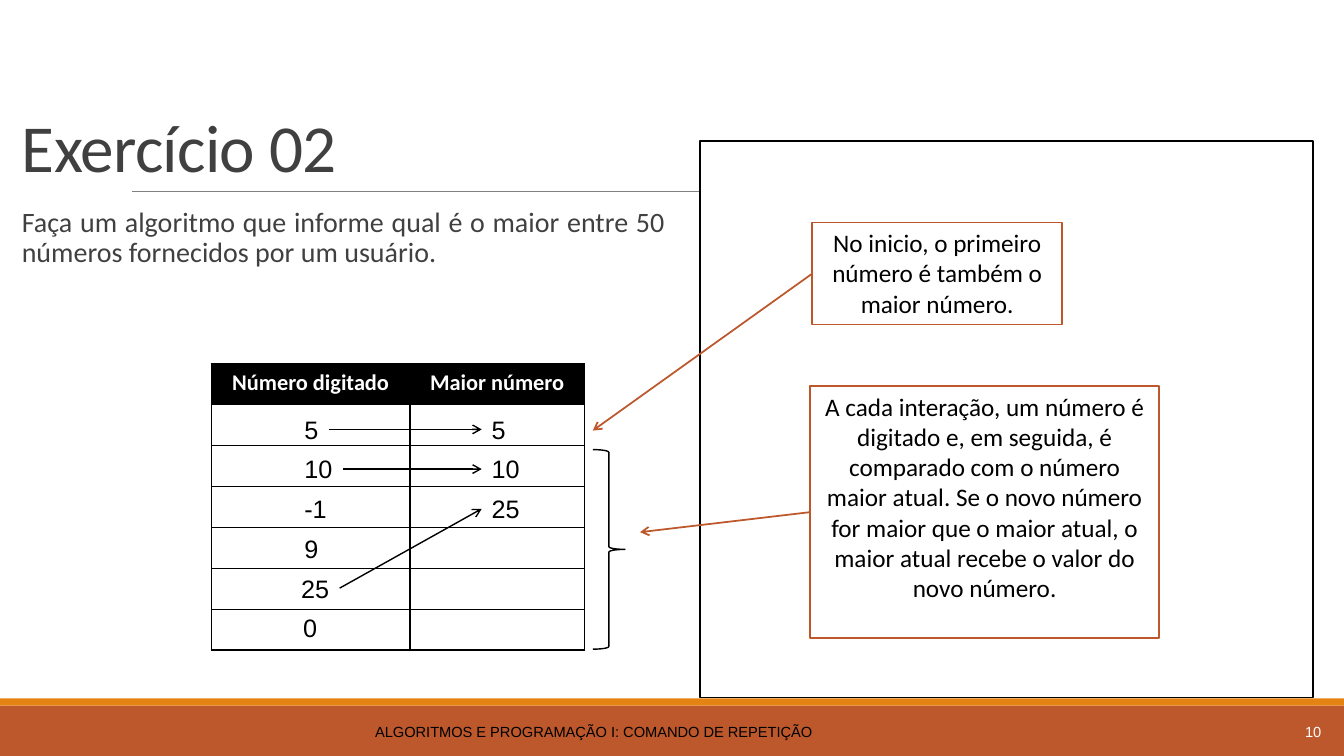
from lxml.etree import SubElement
from pptx import Presentation
from pptx.dml.color import RGBColor
from pptx.enum.shapes import MSO_CONNECTOR as Link, MSO_SHAPE as Preset
from pptx.enum.text import MSO_ANCHOR as Anchor, MSO_AUTO_SIZE as AutoSize, PP_ALIGN as Align
from pptx.oxml import parse_xml
from pptx.oxml.ns import nsdecls, qn
from pptx.util import Cm, Pt

COLORS = {"rust": "BD582C", "amber": "E48312", "gray": "808080",
          "text": "404040", "black": "000000", "white": "FFFFFF"}
TOP, LEFT, RIGHT = 0, 1, 3  # connection sites
LARGE = {"name": "Calibri", "size": Pt(18)}
DIGITS = {"name": "Arial", "size": Pt(18)}
SMALL = {"name": "Arial", "size": Pt(10.5)}


def color(name):
    return RGBColor.from_string(COLORS[name])


def write(frame, text, font, ink="black", **layout):
    """Fill a text frame with one formatted paragraph."""
    para = frame.paragraphs[0]
    span = para.add_run()
    span.text = text
    for key, value in font.items():
        setattr(span.font, key, value)
    span.font.color.rgb = color(ink)
    for key, value in layout.items():
        setattr(para, key, value)
    return para


def add_text(page, box, text, font, ink="black", wrap=True, anchor=Anchor.TOP, **layout):
    shape = page.shapes.add_textbox(*map(Cm, box))
    shape.text_frame.word_wrap = wrap
    shape.text_frame.vertical_anchor = anchor
    write(shape.text_frame, text, font, ink, **layout)
    return shape


def add_block(page, box, fill=None, line=None, width=1.25, preset=Preset.RECTANGLE):
    shape = page.shapes.add_shape(preset, *map(Cm, box))
    shape.shadow.inherit = False
    if fill:
        shape.fill.solid()
        shape.fill.fore_color.rgb = color(fill)
    else:
        shape.fill.background()
    if line:
        shape.line.color.rgb = color(line)
        shape.line.width = Pt(width)
    else:
        shape.line.fill.background()
    return shape


def add_line(page, start, end, ink, width, arrow=True):
    line = page.shapes.add_connector(Link.STRAIGHT, *map(Cm, (*start, *end)))
    line.line.color.rgb = color(ink)
    line.line.width = Pt(width)
    properties = line.element.spPr
    if arrow:
        SubElement(properties.find(qn("a:ln")), qn("a:tailEnd"), type="arrow")
    SubElement(properties, qn("a:effectLst"))
    return line


def add_footer(page, box):
    left, top, width, height = box
    add_block(page, box, "rust")
    add_block(page, (left, top - 0.18, width, 0.18), "amber")
    add_text(page, (left + 0.3, top + 0.15, 29.34, 1.02),
             "ALGORITMOS E PROGRAMAÇÃO I: COMANDO DE REPETIÇÃO", SMALL,
             anchor=Anchor.MIDDLE, alignment=Align.CENTER)
    add_text(page, (left + 29.92, top + 0.15, 3.63, 1.02), "10", SMALL, "white",
             anchor=Anchor.MIDDLE, alignment=Align.RIGHT)


def add_heading(page, box):
    left, top, width, height = box
    title = page.shapes.title
    title.left, title.top, title.width, title.height = map(Cm, box)
    title.text_frame.auto_size = AutoSize.NONE
    title.text_frame.vertical_anchor = Anchor.BOTTOM
    para = write(title.text_frame, "Exercício 02", {"name": "Calibri", "size": Pt(48)},
                 "text", alignment=Align.LEFT, line_spacing=0.85)
    para.runs[0].font._element.set("spc", "-50")
    base = top + height
    add_line(page, (left + 3.03, base), (left + 30.71, base), "gray", 0.5, arrow=False)


def add_statement(page, box):
    shape = add_text(
        page, box,
        "Faça um algoritmo que informe qual é o maior entre 50 números fornecidos por um usuário.",
        {"name": "Calibri", "size": Pt(20)}, "text", alignment=Align.JUSTIFY,
        line_spacing=0.9, space_before=Pt(12), space_after=Pt(2))
    frame = shape.text_frame
    frame.margin_left, frame.margin_right = Cm(0.25), 0


def add_borders(cell):
    properties = cell._tc.get_or_add_tcPr()
    for index, side in enumerate("LRTB"):
        properties.insert(index, parse_xml(
            f'<a:ln{side} {nsdecls("a")} w="12700"><a:solidFill>'
            f'<a:srgbClr val="{COLORS["black"]}"/></a:solidFill></a:ln{side}>'))


def add_trace(page, box):
    """Table of typed numbers, with arrows to each new maximum."""
    left, top, width, height = box
    headers = ("Número digitado", "Maior número")
    table = page.shapes.add_table(7, 2, *map(Cm, box)).table
    for column, share in zip(table.columns, (5, width - 5)):
        column.width = Cm(share)
    for index, row in enumerate(table.rows):
        row.height = Cm(height / 7)
        for cell, header in zip(row.cells, headers):
            if index == 0:
                cell.fill.solid()
                cell.fill.fore_color.rgb = color("black")
                write(cell.text_frame, header,
                      {"name": "Calibri", "size": Pt(16), "bold": True},
                      "white", alignment=Align.CENTER)
            else:
                cell.fill.background()
            add_borders(cell)

    # Numbers sit one centimetre apart
    def add_number(text, index, offset):
        size = {"5": 0.86, "9": 0.86, "0": 0.86, "-1": 1.09}.get(text, 1.22)
        return add_text(page, (left + offset, top + 1.14 + index, size, 1.02),
                        text, DIGITS, wrap=False)

    typed = [add_number(text, index, offset) for index, (text, offset) in enumerate(
        [("5", 2.09), ("10", 2.09), ("-1", 2.09), ("9", 2.09), ("25", 2.01), ("0", 2.06)])]
    largest = [add_number(text, index, 6.81) for index, text in enumerate(("5", "10", "25"))]
    for source, target in zip((0, 1, 4), largest):
        arrow = add_line(page, (0, 0), (1, 1), "black", 1)
        arrow.begin_connect(typed[source], RIGHT)
        arrow.end_connect(target, LEFT)


def add_callout(page, box, text, target):
    shape = add_block(page, box, "white", "rust")
    shape.text_frame.word_wrap = True
    shape.text_frame.vertical_anchor = Anchor.TOP
    write(shape.text_frame, text, LARGE, alignment=Align.CENTER)
    add_line(page, box[:2], target, "rust", 1.25).begin_connect(shape, LEFT)


def add_notes_panel(page, box):
    left, top, width, height = box
    add_block(page, box, "white", "black")
    add_callout(page, (left + 2.77, top + 6.17, 8.79, 6.35),
                "A cada interação, um número é digitado e, em seguida, é comparado com o "
                "número maior atual. Se o novo número for maior que o maior atual, o maior "
                "atual recebe o valor do novo número.", (left - 1.52, top + 9.85))
    add_callout(page, (left + 2.82, top + 2.05, 6.3, 2.57),
                "No inicio, o primeiro número é também o maior número.",
                (left - 2.71, top + 7.29))
    add_block(page, (left - 2.71, top + 7.77, 0.81, 5.03), None, "black", 1,
              Preset.RIGHT_BRACE)


def main():
    deck = Presentation()
    deck.slide_width, deck.slide_height = Cm(33.87), Cm(19.05)
    page = deck.slides.add_slide(deck.slide_layouts[5])
    add_footer(page, (0, 17.78, 33.87, 1.27))
    add_heading(page, (0.3, 0.79, 33.27, 4.04))
    add_statement(page, (0.3, 5.13, 16.46, 12.52))
    add_trace(page, (5.33, 9.17, 9.4, 7.21))
    add_notes_panel(page, (17.65, 3.56, 15.44, 14.02))
    deck.save("out.pptx")


if __name__ == "__main__":
    main()
